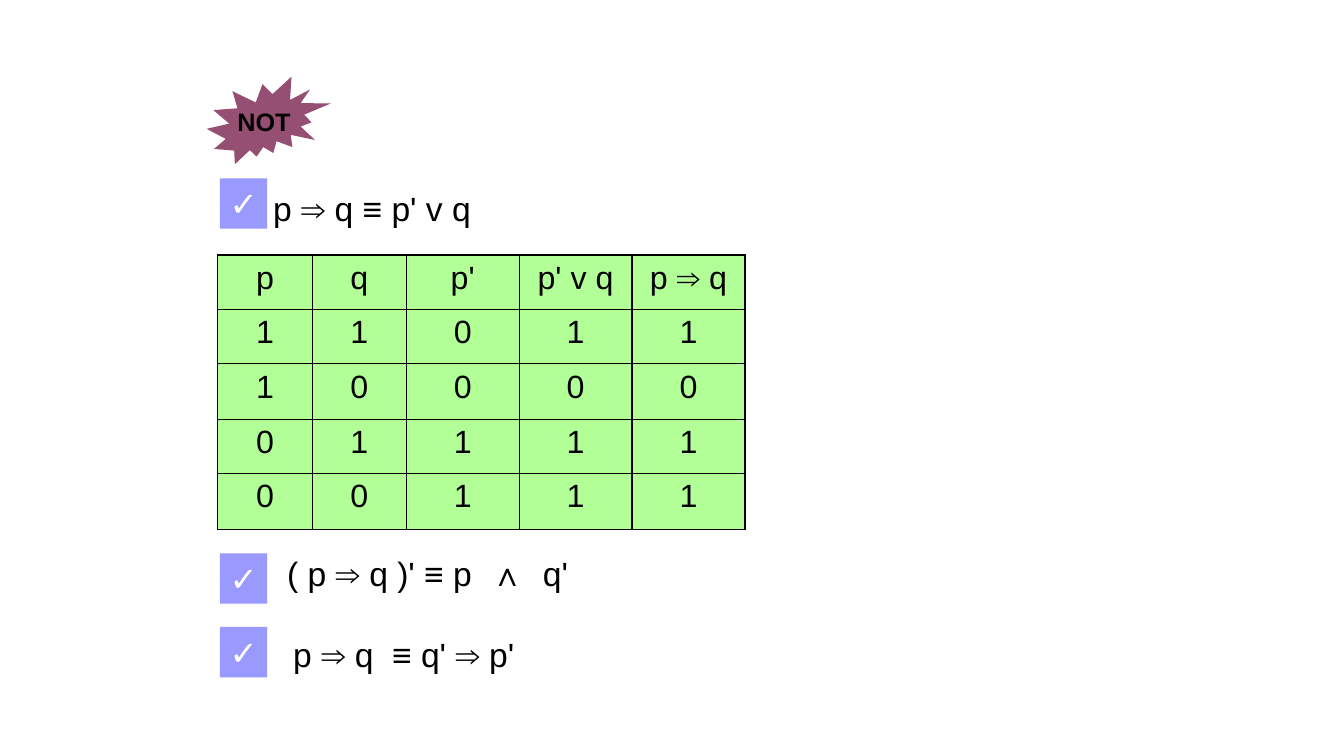
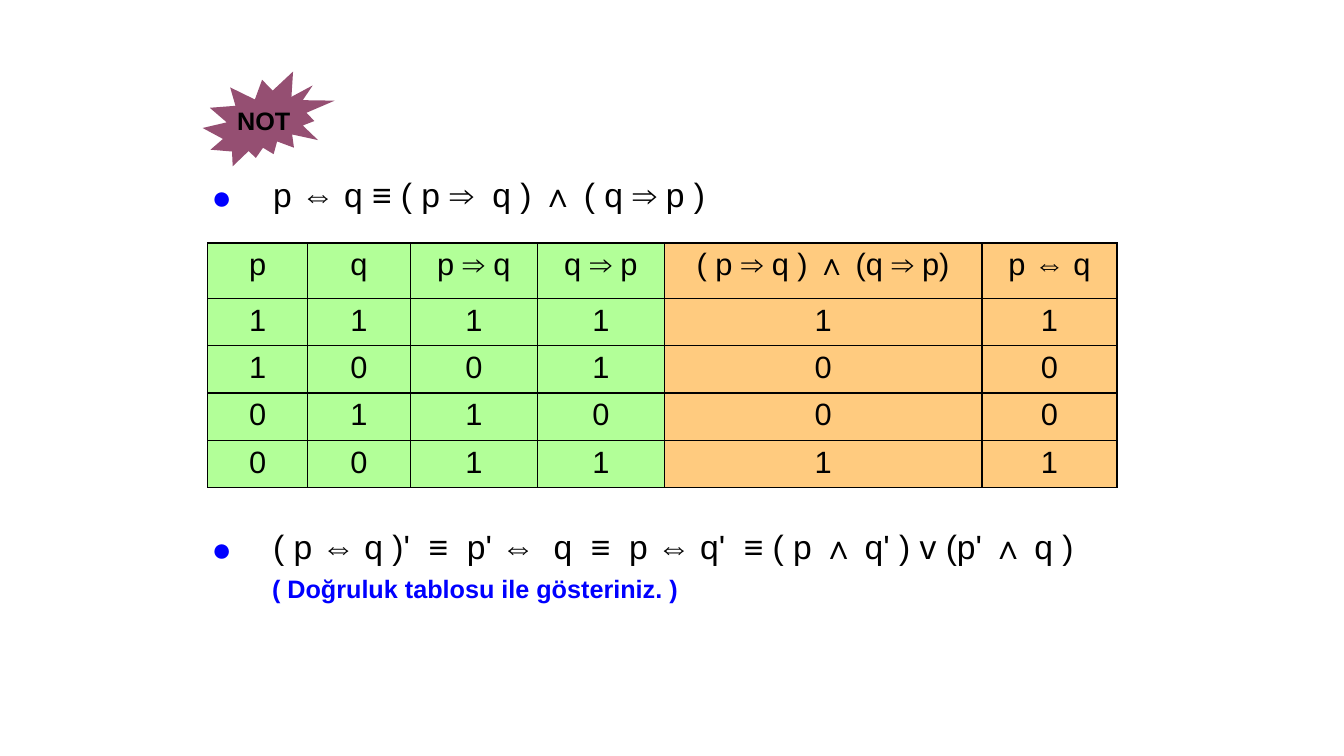
from lxml import etree
from pptx import Presentation, util as u
from pptx.dml import color
from pptx.enum import shapes, text
from pptx.oxml import ns

PX = 9144
FONT = "Arial"
COLORS = {
    "ink": "000000",
    "paper": "FFFFFF",
    "burst": "954F72",
    "check": "9999FF",
    "accent": "0000FF",
    "premise": "66FF33",
    "result": "FF9900",
}
BOLD_MARK = "*"


def px(*lengths):
    return [u.Emu(length * PX) for length in lengths]


def rgb(name):
    return color.RGBColor.from_string(COLORS[name])


def write(frame, content, size, ink="ink", bold=False, align=text.PP_ALIGN.JUSTIFY):
    paragraph = frame.paragraphs[0]
    paragraph.alignment = align
    for index, part in enumerate(content.split(BOLD_MARK)):
        if part:
            run = paragraph.add_run()
            run.text = part
            run.font.name = FONT
            run.font.size = u.Pt(size)
            run.font.bold = bold or index % 2 == 1
            run.font.color.rgb = rgb(ink)


def add_text(slide, box, content, size=24, wrap=True, **style):
    frame = slide.shapes.add_textbox(*px(*box)).text_frame
    frame.word_wrap = wrap
    write(frame, content, size, **style)


def add_filled(slide, preset, box, fill):
    shape = slide.shapes.add_shape(preset, *px(*box))
    shape.shadow.inherit = False
    shape.fill.solid()
    shape.fill.fore_color.rgb = rgb(fill)
    shape.line.fill.background()
    return shape.text_frame


def add_note_burst(slide, box):
    frame = add_filled(slide, shapes.MSO_SHAPE.EXPLOSION2, box, "burst")
    frame.word_wrap = False
    frame.vertical_anchor = text.MSO_ANCHOR.MIDDLE
    write(frame, "NOT", 18, bold=True, align=text.PP_ALIGN.CENTER)


def add_check(slide, top):
    frame = add_filled(slide, shapes.MSO_SHAPE.RECTANGLE, (218, top, 47, 50), "check")
    frame.vertical_anchor = text.MSO_ANCHOR.TOP
    write(frame, "✓", 24, ink="paper", align=text.PP_ALIGN.CENTER)


def add_dot(slide, top):
    add_text(slide, (200, top, 52, 50), "●", wrap=False, ink="accent",
             bold=True, align=text.PP_ALIGN.LEFT)


def style_cell(cell, fill):
    properties = cell._tc.get_or_add_tcPr()
    for side in ("a:lnL", "a:lnR", "a:lnT", "a:lnB"):
        border = etree.SubElement(properties, ns.qn(side), w=str(u.Pt(0.96)))
        solid = etree.SubElement(border, ns.qn("a:solidFill"))
        etree.SubElement(solid, ns.qn("a:srgbClr"), val=COLORS["ink"])
    cell.fill.solid()
    cell.fill.fore_color.rgb = rgb(fill)
    tint = properties.find(ns.qn("a:solidFill")).find(ns.qn("a:srgbClr"))
    etree.SubElement(tint, ns.qn("a:alpha"), val="50000")


def add_truth_table(slide, left, top, widths, heights, headers, values, size, premises):
    table = slide.shapes.add_table(
        len(heights), len(widths), *px(left, top, sum(widths), sum(heights))).table
    table.first_row = False
    table.horz_banding = False
    for column, width in zip(table.columns, px(*widths)):
        column.width = width
    for row, height in zip(table.rows, px(*heights)):
        row.height = height
    for row, entries in zip(table.rows, [headers, *values]):
        for index, (cell, entry) in enumerate(zip(row.cells, entries)):
            style_cell(cell, "premise" if index < premises else "result")
            write(cell.text_frame, entry, size, align=text.PP_ALIGN.CENTER)


def build_implication(slide):
    add_note_burst(slide, (205, 76, 123, 87))
    add_text(slide, (261, 182, 239, 50), "p *⇒* q ≡ p' v q")
    add_text(slide, (275, 544, 308, 57), "( p *⇒* q )' ≡ p  *∧*  q'")
    add_text(slide, (281, 624, 308, 50), "p *⇒* q  ≡ q' *⇒* p'")
    add_truth_table(
        slide, 216, 253, [94, 93, 112, 112, 112], [54, 54, 55, 54, 55],
        ["p", "q", "p'", "p' v q", "p *⇒ *q"],
        ["11011", "10000", "01111", "00111"], size=23, premises=5)
    for top in (177, 549, 622):
        add_check(slide, top)


def build_equivalence(slide):
    add_truth_table(
        slide, 206, 241, [99, 102, 126, 126, 315, 134], [55] + [47] * 4,
        ["p", "q", "p ⇒ q", "q ⇒ p", "( p ⇒ q ) *∧ *(q ⇒ p)", "p ⇔ q"],
        ["111111", "100100", "011000", "001111"], size=22, premises=4)
    add_note_burst(slide, (201, 71, 131, 94))
    add_text(slide, (261, 168, 492, 50), "p ⇔ q ≡ ( p ⇒  q ) *∧* ( q ⇒ p )")
    add_text(slide, (261, 517, 847, 50),
             "( p ⇔ q )'  ≡  p' ⇔  q  ≡  p ⇔ q'  ≡ ( p *∧* q' ) v (p' *∧* q )")
    add_text(slide, (260, 564, 517, 40), "( Doğruluk tablosu ile gösteriniz. )",
             size=18, ink="accent", bold=True)
    for top in (170, 519):
        add_dot(slide, top)


def main():
    deck = Presentation()
    deck.slide_width, deck.slide_height = px(1333, 750)
    for build in (build_implication, build_equivalence):
        build(deck.slides.add_slide(deck.slide_layouts[6]))
    deck.save("out.pptx")


if __name__ == "__main__":
    main()
